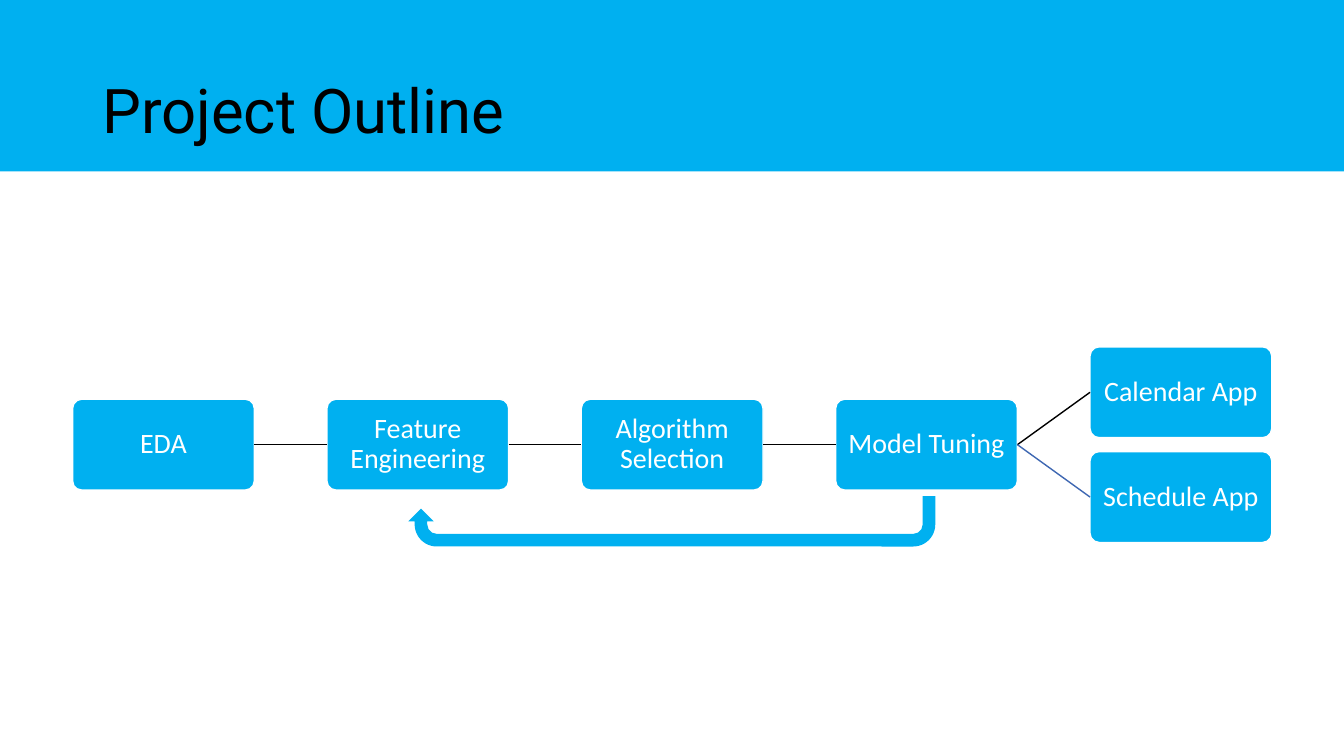
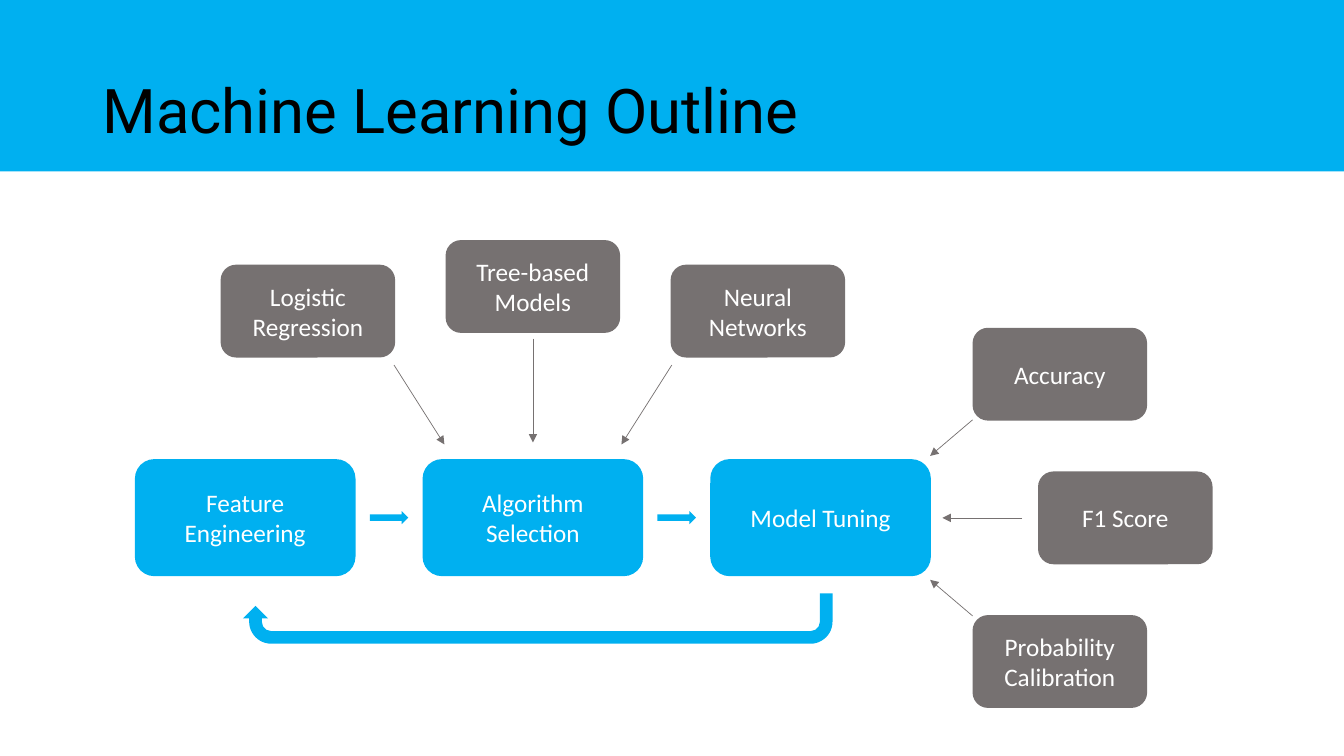
from lxml.etree import SubElement
from pptx import Presentation
from pptx.dml.color import RGBColor
from pptx.enum.shapes import MSO_CONNECTOR, MSO_SHAPE
from pptx.enum.text import MSO_ANCHOR, PP_ALIGN
from pptx.oxml.ns import qn
from pptx.util import Cm, Pt

BLUE = RGBColor(0x00, 0xB0, 0xF0)
GRAY = RGBColor(0x76, 0x71, 0x71)
DARK_BLUE = RGBColor(0x3E, 0x67, 0xB2)
BLACK = RGBColor(0, 0, 0)
WHITE = RGBColor(0xFF, 0xFF, 0xFF)
TITLE_FONT = "Roboto"
BODY_FONT = "Calibri"
SLIDE_W, SLIDE_H = 33.87, 19.05
BAND_H = 4.32
RIGHT, LEFT = 3, 1


def style_text(tf, font, size, color, spacing=None):
    p = tf.paragraphs[0]
    p.line_spacing = spacing
    f = p.runs[0].font
    f.name, f.size, f.color.rgb = font, Pt(size), color
    tf.word_wrap = True
    tf.vertical_anchor = MSO_ANCHOR.MIDDLE
    return p


def add_block(slide, kind, left, top, width, height, fill=BLUE):
    sp = slide.shapes.add_shape(kind, Cm(left), Cm(top), Cm(width), Cm(height))
    sp.shadow.inherit = False
    sp.fill.solid()
    sp.fill.fore_color.rgb = fill
    sp.line.fill.background()
    return sp


def add_box(slide, text, left, top, width, height, fill=BLUE, size=18, spacing=None):
    sp = add_block(slide, MSO_SHAPE.ROUNDED_RECTANGLE, left, top, width, height, fill)
    sp.text_frame.text = text
    p = style_text(sp.text_frame, BODY_FONT, size, WHITE, spacing)
    p.alignment = PP_ALIGN.CENTER
    return sp


def add_line(slide, x1, y1, x2, y2, color, width):
    line = slide.shapes.add_connector(
        MSO_CONNECTOR.STRAIGHT, Cm(x1), Cm(y1), Cm(x2), Cm(y2))
    line.line.color.rgb = color
    line.line.width = Pt(width)
    SubElement(line._element.spPr, qn("a:effectLst"))
    return line


def add_arrow(slide, x1, y1, x2, y2):
    line = add_line(slide, x1, y1, x2, y2, GRAY, 0.5)
    SubElement(line.line._get_or_add_ln(), qn("a:tailEnd"), type="triangle")


def add_loop_back(slide, left, top, width):
    """U-turn arrow that leads from the right end back to the left."""
    sp = add_block(slide, MSO_SHAPE.U_TURN_ARROW, left, top, width, 1.27)
    sp.rotation = 180


def add_titled_slide(prs, title):
    slide = prs.slides.add_slide(prs.slide_layouts[6])
    add_block(slide, MSO_SHAPE.RECTANGLE, 0, 0, SLIDE_W, BAND_H)
    tb = slide.shapes.add_textbox(Cm(2.33), Cm(1.02), Cm(29.21), Cm(3.68))
    tb.text_frame.text = title
    style_text(tb.text_frame, TITLE_FONT, 44, BLACK, 0.9)
    return slide


def add_project_flow(slide, left, top):
    """Row of joined steps that forks into two apps."""
    width, height, pitch, fork = 4.58, 2.29, 6.41, 1.32

    def add_step(text, column, offset=0):
        sp = add_box(slide, text, left + column * pitch, top + offset,
                     width, height, size=20, spacing=0.9)
        sp.adjustments[0] = 0.1
        sp.line.color.rgb = WHITE
        sp.line.width = Pt(1)
        tf = sp.text_frame
        tf.margin_left = tf.margin_right = tf.margin_top = tf.margin_bottom = Cm(0.1)
        return sp

    def join(start, end, color=BLACK):
        line = add_line(slide, 0, 0, 0, 0, color, 1)
        line.begin_connect(start, RIGHT)
        line.end_connect(end, LEFT)

    names = ["EDA", "Feature Engineering", "Algorithm Selection", "Model Tuning"]
    steps = [add_step(name, i) for i, name in enumerate(names)]
    for start, end in zip(steps, steps[1:]):
        join(start, end)
    join(steps[-1], add_step("Calendar App", 4, -fork))
    join(steps[-1], add_step("Schedule App", 4, fork), DARK_BLUE)
    add_loop_back(slide, left + 8.46, top + 2.44, 13.28)


def add_learning_steps(slide, left, top):
    width, height, pitch = 5.56, 2.95, 7.25
    arrow_w, arrow_h = 0.97, 0.33
    names = ["Feature Engineering", "Algorithm Selection", "Model Tuning"]
    for i, name in enumerate(names):
        x = left + i * pitch
        add_box(slide, name, x, top, width, height)
        if i:
            add_block(slide, MSO_SHAPE.RIGHT_ARROW, x - (pitch - width + arrow_w) / 2,
                      top + (height - arrow_h) / 2, arrow_w, arrow_h)
    add_loop_back(slide, left + 2.72, top + 3.38, 14.86)


def add_algorithms(slide, left, top):
    """Three candidate algorithms pointing down to the selection step."""
    width, height, pitch, drop = 4.4, 2.34, 5.67, 0.62
    names = ["Logistic Regression", "Tree-based Models", "Neural Networks"]
    for i, name in enumerate(names):
        add_box(slide, name, left + i * pitch, top + drop * (i != 1),
                width, height, GRAY)
    center = left + pitch + width / 2
    add_arrow(slide, center, top + 2.48, center, top + 5.1)
    for side in (-1, 1):
        add_arrow(slide, center + side * 3.5, top + 3.15,
                  center + side * 2.23, top + 5.15)


def add_metrics(slide, left, top):
    """Three metrics pointing left to the tuning step."""
    width, height, pitch, shift = 4.4, 2.34, 3.62, 1.65
    names = ["Accuracy", "F1 Score", "Probability Calibration"]
    for i, name in enumerate(names):
        add_box(slide, name, left + shift * (i == 1), top + i * pitch,
                width, height, GRAY)
    middle = top + pitch + height / 2
    add_arrow(slide, left + 1.25, middle, left - 0.76, middle)
    for side in (-1, 1):
        add_arrow(slide, left, middle + side * 2.47, left - 1.07, middle + side * 1.56)


def main():
    prs = Presentation()
    prs.slide_width, prs.slide_height = Cm(SLIDE_W), Cm(SLIDE_H)

    add_project_flow(add_titled_slide(prs, "Project Outline"), 1.83, 10.06)

    slide = add_titled_slide(prs, "Machine Learning Outline")
    add_learning_steps(slide, 3.4, 11.57)
    add_algorithms(slide, 5.56, 6.05)
    add_metrics(slide, 24.51, 8.26)

    prs.save("out.pptx")


if __name__ == "__main__":
    main()
